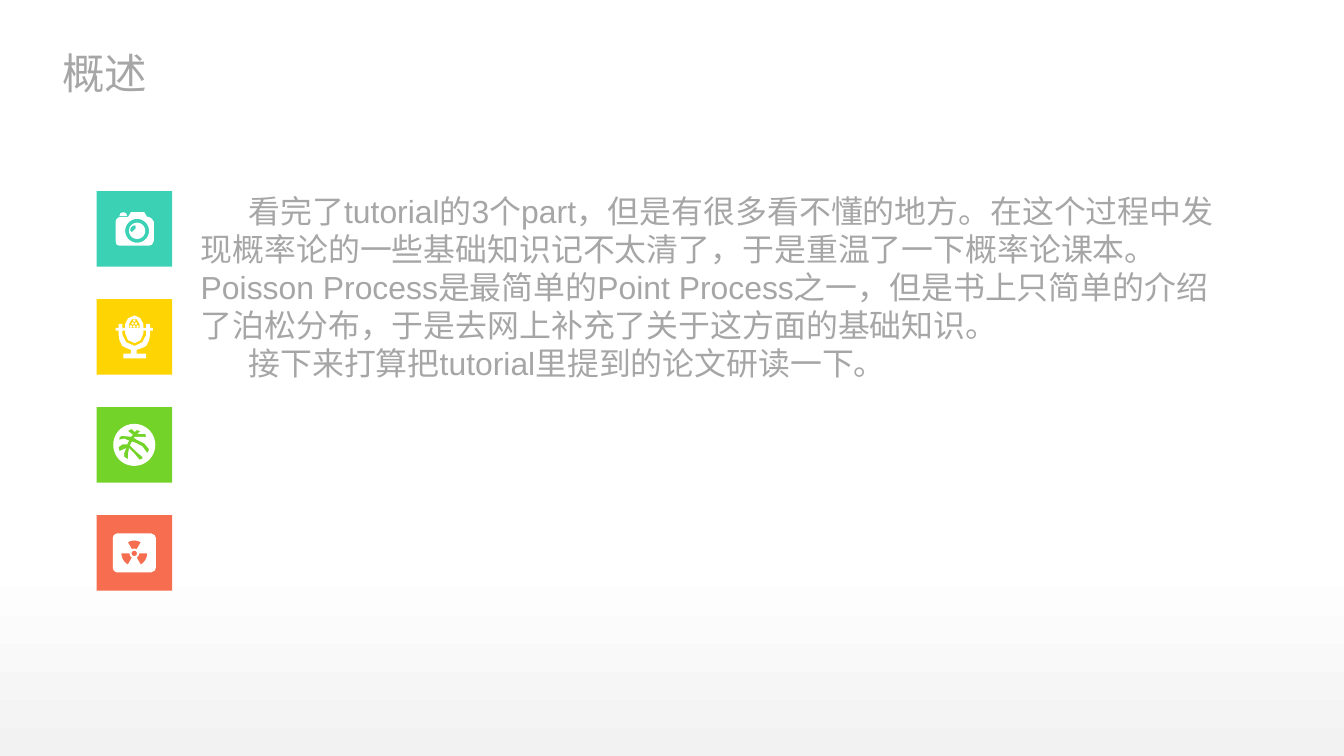
from math import cos, radians, sin

from pptx import Presentation, util as u
from pptx.dml.color import RGBColor
from pptx.enum import shapes, text

PX = 9144  # 100 px to the inch
WIDE, HIGH = 1406, 791
HUES = {"teal": "3AD1B5", "gold": "FED403", "green": "73D329",
        "coral": "F66E4F", "white": "FFFFFF", "mist": "F2F2F2",
        "gray": "A6A6A6"}
TITLE = "概述"
BODY = [
    "看完了tutorial的3个part，但是有很多看不懂的地方。在这个过程中发现概率论的一些"
    "基础知识记不太清了，于是重温了一下概率论课本。Poisson Process是最简单的Point "
    "Process之一，但是书上只简单的介绍了泊松分布，于是去网上补充了关于这方面的基础知识。",
    "接下来打算把tutorial里提到的论文研读一下。",
]


def hue(name):
    return RGBColor.from_string(HUES[name])


def arc(x, y, r, start=0, end=360, step=10):
    """Points on a circle round (x, y), angles in degrees clockwise."""
    return [(x + r * cos(radians(a)), y + r * sin(radians(a)))
            for a in range(start, end + 1, step)]


def blade(mid):
    return (arc(39.5, 40, 13.5, mid - 30, mid + 30)
            + arc(39.5, 40, 5, mid - 30, mid + 30)[::-1])


# Each icon is a list of outlines in tile px; an inner outline cuts a hole.
CAMERA = [
    [(24, 26), (25, 23), (28, 22), (31, 23), (32, 26)],
    [(36, 22), (33, 27), (24, 27), (21, 29), (20, 32), (20, 52), (21, 56),
     (24, 57), (55, 57), (58, 56), (60, 52), (60, 32), (58, 29), (55, 27),
     (53, 27), (50, 22)],
    arc(42.5, 41.5, 12.5),
    arc(42.5, 41.5, 8.5),
    [(36, 38), (38, 36), (41, 36), (41, 39), (39, 41), (37, 43), (35, 41)],
]
MIC = [
    [(40, 17), (46, 20), (49, 26), (49, 30), (52, 30), (52, 26), (56, 26),
     (56, 30), (59, 30), (59, 33), (56, 33), (56, 37), (55, 43), (52, 49),
     (48, 51), (42, 53), (42, 57), (52, 57), (52, 62), (28, 62), (28, 57),
     (36, 57), (36, 53), (31, 51), (27, 49), (24, 43), (23, 37), (23, 33),
     (20, 33), (20, 30), (23, 30), (23, 26), (27, 26), (27, 30), (30, 30),
     (30, 26), (33, 20)],
    [(34, 30), (34, 26), (37, 21), (42, 21), (45, 26), (45, 30)],
    [(49, 33), (49, 36), (46, 43), (40, 46), (33, 43), (30, 36), (30, 33),
     (27, 33), (27, 37), (31, 45), (40, 49), (48, 45), (52, 37), (52, 33)],
] + [arc(39.5 + 3.5 * (col - row / 2), 22.5 + 3 * row, 1.2, step=30)
     for row in range(3) for col in range(row + 1)]
BALL = [
    arc(39.5, 39.5, 22),
    [(26, 30), (24, 32), (24, 34), (29, 33), (34, 35), (32, 39), (27, 39),
     (23, 42), (24, 46), (31, 43), (29, 48), (29, 52), (32, 54), (33, 54),
     (33, 49), (34, 43), (40, 49), (45, 55), (48, 54), (48, 52), (42, 47),
     (35, 40), (37, 36), (40, 37), (48, 41), (53, 48), (54, 47), (55, 44),
     (50, 38), (42, 34), (39, 32), (41, 31), (43, 31), (52, 31), (51, 28),
     (44, 28), (43, 28), (46, 25), (42, 24), (40, 26), (37, 23), (34, 24),
     (33, 25), (38, 29), (36, 31)],
]
ATOM = [
    [(21, 19), (57, 19), (61, 21), (62, 24), (62, 55), (61, 58), (57, 60),
     (21, 60), (18, 58), (17, 55), (17, 24), (18, 21)],
    arc(39.5, 40, 2.8),
] + [blade(mid) for mid in (-90, 30, 150)]
TILES = [("teal", CAMERA), ("gold", MIC), ("green", BALL), ("coral", ATOM)]


def rect(home, x, y, w, h):
    shape = home.add_shape(shapes.MSO_SHAPE.RECTANGLE,
                           x * PX, y * PX, w * PX, h * PX)
    shape.shadow.inherit = False
    shape.line.fill.background()
    return shape


def backdrop(slide):
    fill = rect(slide.shapes, 0, 0, WIDE, HIGH).fill
    fill.gradient()
    fill.gradient_angle = 90
    stops = [("mist", 0), ("white", 0.26)]
    for stop, (name, spot) in zip(fill.gradient_stops, stops):
        stop.color.rgb = hue(name)
        stop.position = spot


def icon(home, x, y, rings):
    pen = None
    for ring in rings:
        dots = [(round((x + a) * PX), round((y + b) * PX)) for a, b in ring]
        if pen is None:
            pen = home.build_freeform(*dots[0])
        else:
            pen.move_to(*dots[0])
        pen.add_line_segments(dots[1:], close=True)
    shape = pen.convert_to_shape()
    shape.shadow.inherit = False
    shape.line.fill.background()
    shape.fill.solid()
    shape.fill.fore_color.rgb = hue("white")


def column(slide, x, y, size, step):
    """Stack the icon tiles downwards from (x, y)."""
    for row, (name, rings) in enumerate(TILES):
        home = slide.shapes.add_group_shape().shapes
        top = y + row * step
        tile = rect(home, x, top, size, size)
        tile.fill.solid()
        tile.fill.fore_color.rgb = hue(name)
        icon(home, x, top, rings)


def write(slide, box, lines, size, anchor, indent=0):
    frame = slide.shapes.add_textbox(*(n * PX for n in box)).text_frame
    form = {"word_wrap": True, "vertical_anchor": anchor,
            "auto_size": text.MSO_AUTO_SIZE.SHAPE_TO_FIT_TEXT,
            "margin_left": 0, "margin_right": 0,
            "margin_top": 0, "margin_bottom": 0}
    for key, value in form.items():
        setattr(frame, key, value)
    frame.text = "\n".join(lines)
    for para in frame.paragraphs:
        if indent:
            para._p.get_or_add_pPr().set("indent", str(indent * PX))
        for run in para.runs:
            for key, value in {"name": "Arial", "size": u.Pt(size)}.items():
                setattr(run.font, key, value)
            run.font.color.rgb = hue("gray")


def main():
    deck = Presentation()
    deck.slide_width, deck.slide_height = WIDE * PX, HIGH * PX
    slide = deck.slides.add_slide(deck.slide_layouts[6])
    backdrop(slide)
    column(slide, 101, 200, 79, 113)
    write(slide, (210, 200, 1078, 202), BODY, 24, text.MSO_ANCHOR.TOP, 50)
    write(slide, (65, 49, 432, 54), [TITLE], 32, text.MSO_ANCHOR.MIDDLE)
    deck.save("out.pptx")


if __name__ == "__main__":
    main()
